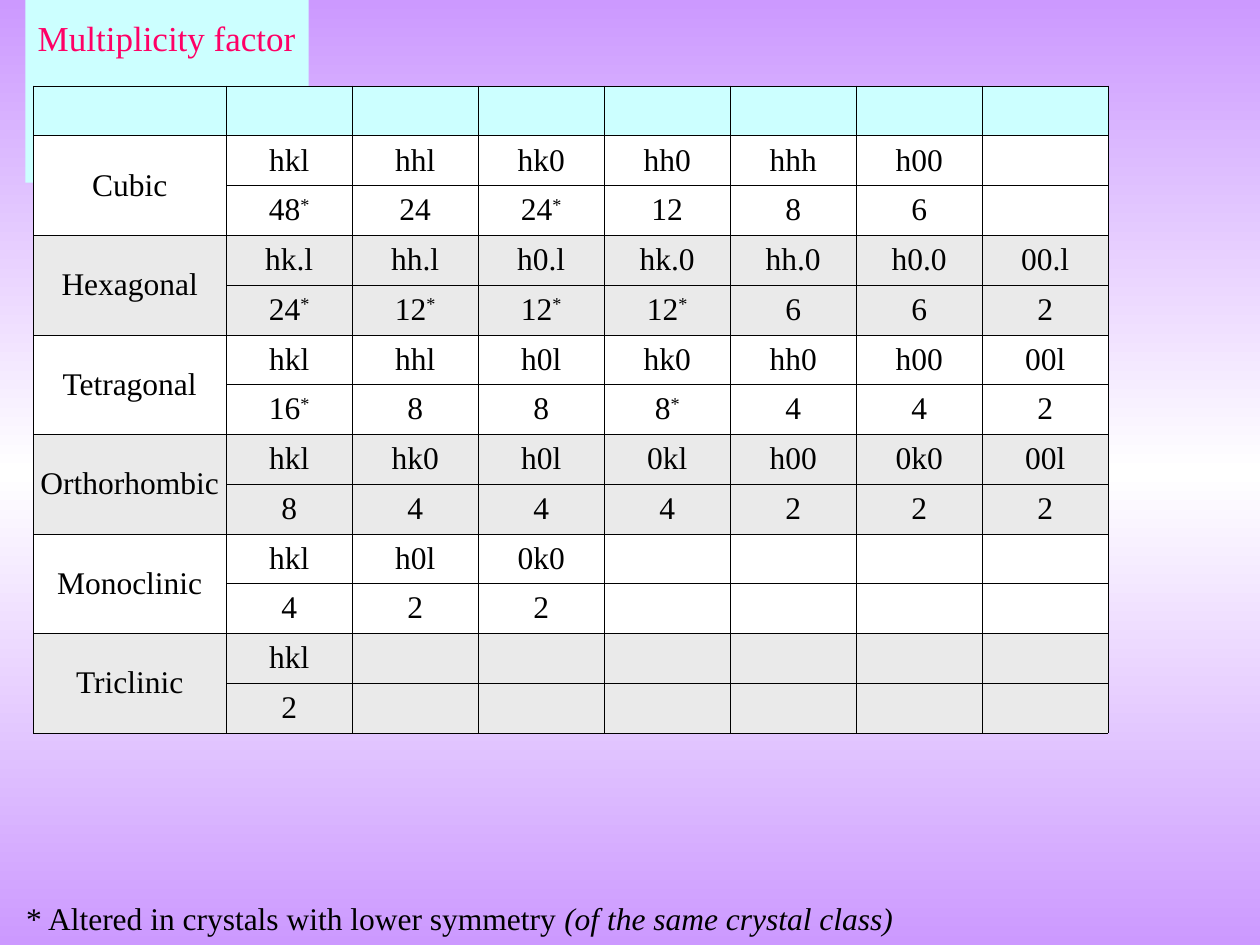
from copy import deepcopy
from dataclasses import dataclass

from lxml.etree import SubElement
from pptx import Presentation
from pptx.dml.color import RGBColor as RGB
from pptx.enum.text import MSO_ANCHOR as Anchor, MSO_AUTO_SIZE as AutoSize, PP_ALIGN as Align
from pptx.oxml.ns import qn
from pptx.util import Cm, Pt


@dataclass(frozen=True)
class Theme:
    font: str = "Times New Roman"
    title_size: float = 20
    text_size: float = 18
    border_width: float = 0.11
    title: str = "FF0066"
    text: str = "000000"
    accent: str = "CCFFFF"
    white: str = "FFFFFF"
    grey: str = "EAEAEA"
    violet: str = "CC99FF"


COLUMN_COUNT = 8
CRYSTAL_SYSTEMS = [
    ("Cubic", "hkl hhl hk0 hh0 hhh h00", "48* 24 24* 12 8 6"),
    ("Hexagonal", "hk.l hh.l h0.l hk.0 hh.0 h0.0 00.l", "24* 12* 12* 12* 6 6 2"),
    ("Tetragonal", "hkl hhl h0l hk0 hh0 h00 00l", "16* 8 8 8* 4 4 2"),
    ("Orthorhombic", "hkl hk0 h0l 0kl h00 0k0 00l", "8 4 4 4 2 2 2"),
    ("Monoclinic", "hkl h0l 0k0", "4 2 2"),
    ("Triclinic", "hkl", "2"),
]


def set_values(target, values):
    for name, value in values.items():
        setattr(target, name, value)


class SlideBuilder:
    def __init__(self, slide, theme):
        self.slide = slide
        self.theme = theme

    def background(self, colors):
        """Fill the background with evenly spaced vertical gradient stops."""
        fill = self.slide.background.fill
        fill.gradient()
        fill.gradient_angle = 90
        stop_list = self.slide.element.find(".//" + qn("a:gsLst"))
        while len(stop_list) < len(colors):
            stop_list.append(deepcopy(stop_list[-1]))
        for index, (stop, color) in enumerate(zip(fill.gradient_stops, colors)):
            stop.position = index / (len(colors) - 1)
            stop.color.rgb = RGB.from_string(color)

    def run(self, paragraph, text, size=None, color=None, italic=None):
        run = paragraph.add_run()
        run.text = text
        set_values(run.font, {"name": self.theme.font, "italic": italic,
                              "size": Pt(size or self.theme.text_size)})
        run.font.color.rgb = RGB.from_string(color or self.theme.text)
        return run

    def frame(self, shape, anchor):
        """Make the shape fit its unwrapped text and return its paragraph."""
        set_values(shape.text_frame, {
            "word_wrap": False, "auto_size": AutoSize.SHAPE_TO_FIT_TEXT,
            "vertical_anchor": anchor,
            "margin_left": Cm(0.25), "margin_right": Cm(0.25),
            "margin_top": Cm(0.13), "margin_bottom": Cm(0.13)})
        paragraph = shape.text_frame.paragraphs[0]
        paragraph.alignment = Align.LEFT
        return paragraph

    def title(self, text, left, top, width, height):
        shape = self.slide.shapes.title
        set_values(shape, {"left": left, "top": top, "width": width, "height": height})
        shape.fill.solid()
        shape.fill.fore_color.rgb = RGB.from_string(self.theme.accent)
        paragraph = self.frame(shape, Anchor.MIDDLE)
        self.run(paragraph, text, self.theme.title_size, self.theme.title)

    def note(self, text, italic_text, left, top, width, height):
        shape = self.slide.shapes.add_textbox(left, top, width, height)
        paragraph = self.frame(shape, Anchor.TOP)
        self.run(paragraph, text)
        self.run(paragraph, italic_text, italic=True)

    def style_cell(self, cell, color):
        set_values(cell, {"vertical_anchor": Anchor.MIDDLE,
                          "margin_left": Cm(0.05), "margin_right": Cm(0.05),
                          "margin_top": Cm(0.12), "margin_bottom": Cm(0.12)})
        properties = cell._tc.get_or_add_tcPr()
        for side in ("a:lnL", "a:lnR", "a:lnT", "a:lnB"):
            line = SubElement(properties, qn(side), w=str(Pt(self.theme.border_width)))
            fill = SubElement(line, qn("a:solidFill"))
            SubElement(fill, qn("a:srgbClr"), val=self.theme.text)
        cell.fill.solid()
        cell.fill.fore_color.rgb = RGB.from_string(color)

    def cell_text(self, cell, text):
        """Write centred text, raising a trailing asterisk."""
        paragraph = cell.text_frame.paragraphs[0]
        paragraph.alignment = Align.CENTER
        self.run(paragraph, text.rstrip("*"))
        if text.endswith("*"):
            self.run(paragraph, "*")._r.get_or_add_rPr().set("baseline", "30000")

    def multiplicity_table(self, systems, left, top, name_width, column_width, row_height):
        """Add an empty header and two rows, planes and factors, per system."""
        row_count = 1 + 2 * len(systems)
        table = self.slide.shapes.add_table(
            row_count, COLUMN_COUNT, left, top,
            name_width + (COLUMN_COUNT - 1) * column_width, row_count * row_height).table
        set_values(table, {"first_row": False, "horz_banding": False})
        for index, column in enumerate(table.columns):
            column.width = column_width if index else name_width
        for index, row in enumerate(table.rows):
            row.height = row_height
            band = self.theme.grey if (index - 1) // 2 % 2 else self.theme.white
            for cell in row.cells:
                self.style_cell(cell, band if index else self.theme.accent)
        for index, (name, *lines) in enumerate(systems):
            first_row = 1 + 2 * index
            table.cell(first_row, 0).merge(table.cell(first_row + 1, 0))
            self.cell_text(table.cell(first_row, 0), name)
            for row, line in enumerate(lines, first_row):
                for column, text in enumerate(line.split(), 1):
                    self.cell_text(table.cell(row, column), text)


def main():
    theme = Theme()
    presentation = Presentation()
    set_values(presentation, {"slide_width": Cm(25.4), "slide_height": Cm(19.05)})
    slide = presentation.slides.add_slide(presentation.slide_layouts[5])
    builder = SlideBuilder(slide, theme)
    builder.background([theme.violet, theme.white, theme.violet])
    builder.multiplicity_table(CRYSTAL_SYSTEMS, Cm(0.67), Cm(1.73),
                               Cm(3.89), Cm(2.54), Cm(0.87))
    builder.note("* Altered in crystals with lower symmetry ", "(of the same crystal class)",
                 Cm(0.28), Cm(18), Cm(18), Cm(1.02))
    builder.title("Multiplicity factor", Cm(0.51), Cm(0.2), Cm(5.71), Cm(1.12))
    presentation.save("out.pptx")


if __name__ == "__main__":
    main()
